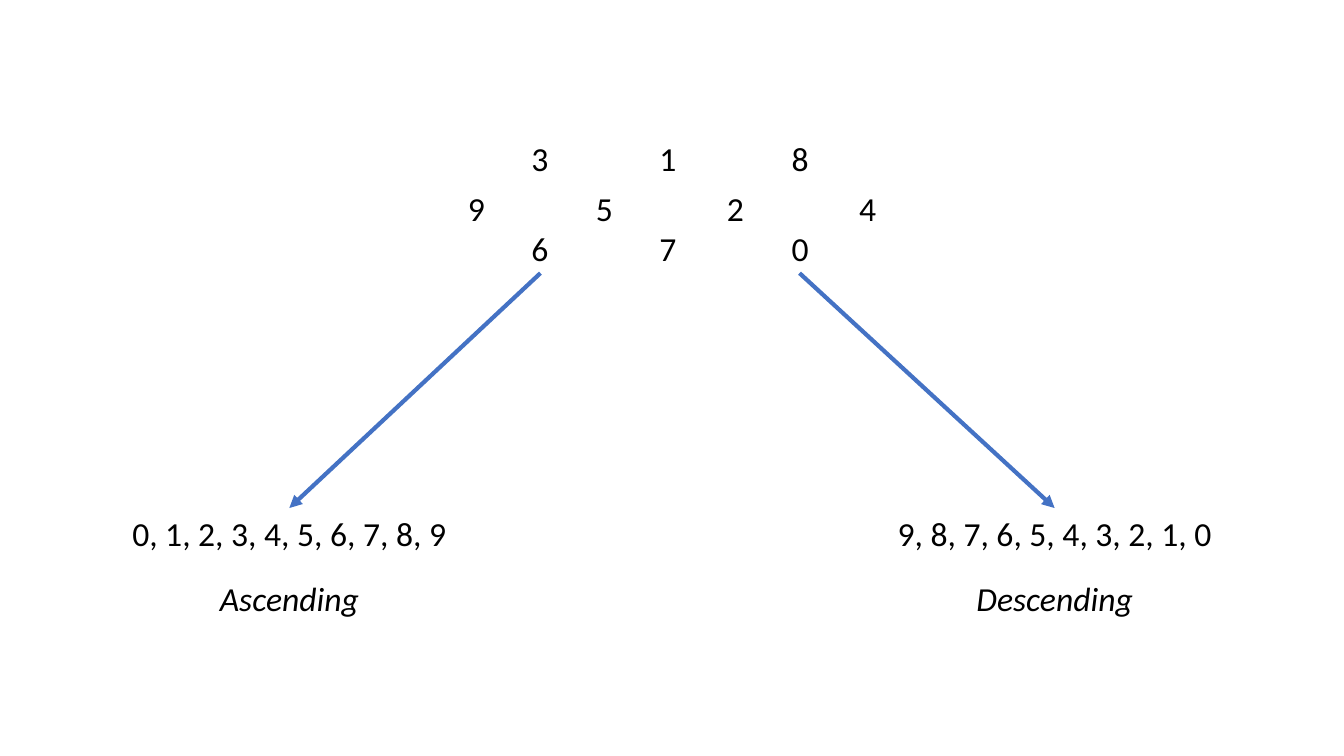
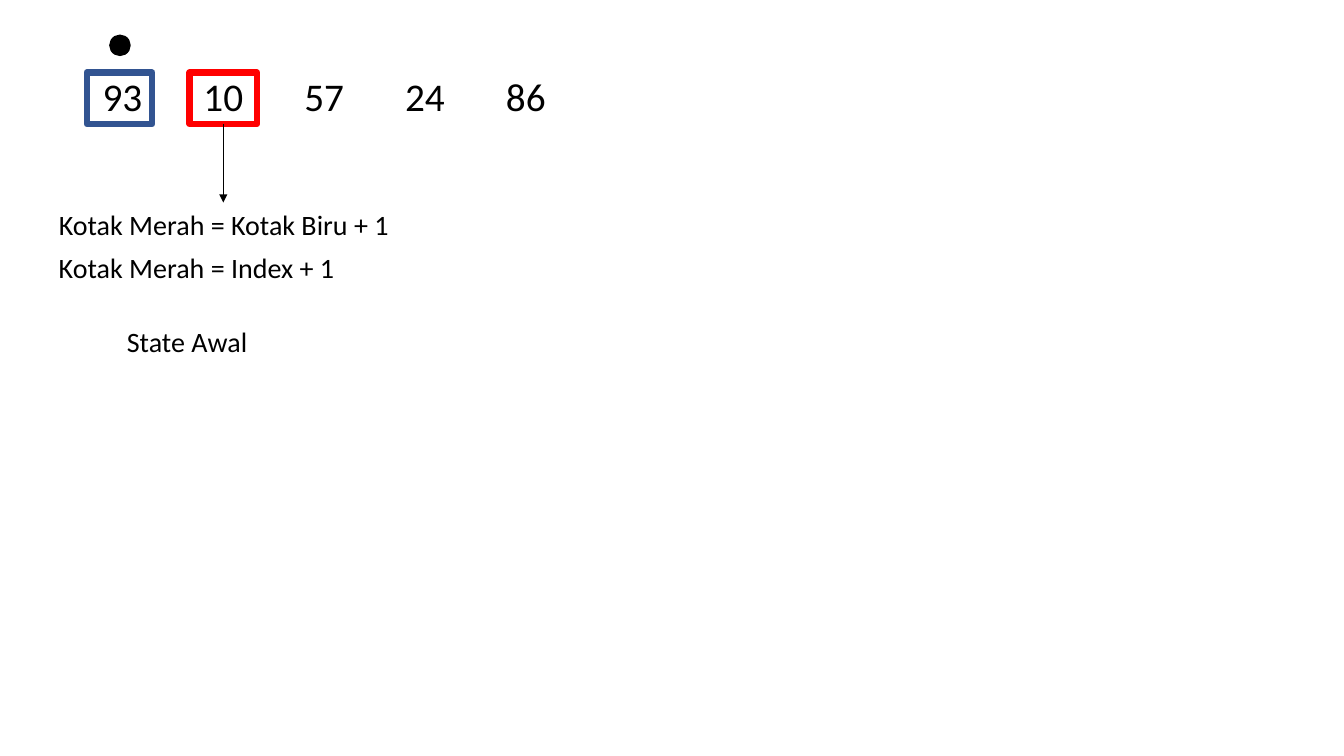
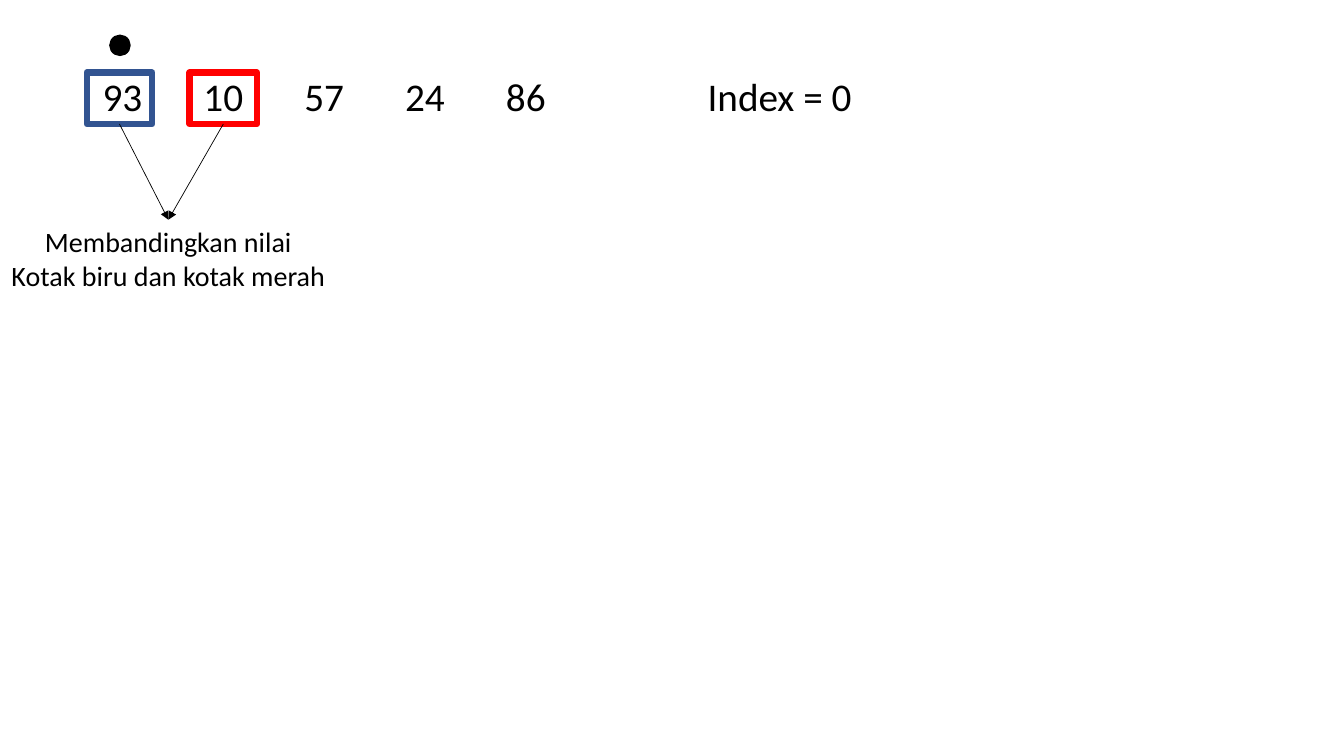
from lxml import etree
from pptx import Presentation
from pptx import util as u
from pptx.dml.color import RGBColor
from pptx.enum import shapes, text
from pptx.oxml.ns import qn

# Shared style
BLACK = RGBColor(0x00, 0x00, 0x00)
BLUE = RGBColor(0x44, 0x72, 0xC4)
NAVY = RGBColor(0x32, 0x54, 0x91)
RED = RGBColor(0xFF, 0x00, 0x00)
FONT = "Calibri"

# Page grid: square cells, one inch each
CELL = u.Inches(1)
WIDE, HIGH = 13.33, 7.5


def cells(*spans):
    return [round(span * CELL) for span in spans]


def style(frame, size, italic=False, align=text.PP_ALIGN.CENTER):
    for para in frame.paragraphs:
        para.alignment = align
        for run in para.runs:
            run.font.name = FONT
            run.font.size = u.Pt(size)
            run.font.italic = italic
            run.font.color.rgb = BLACK


def label(slide, words, box, size, italic=False):
    frame = slide.shapes.add_textbox(*cells(*box)).text_frame
    frame.word_wrap = False
    frame.auto_size = text.MSO_AUTO_SIZE.SHAPE_TO_FIT_TEXT
    frame.text = words
    style(frame, size, italic)


def arrow(slide, start, end, color, width):
    link = slide.shapes.add_connector(
        shapes.MSO_CONNECTOR.STRAIGHT, *cells(*start, *end))
    link.line.color.rgb = color
    link.line.width = u.Pt(width)
    etree.SubElement(link.line._get_or_add_ln(), qn("a:tailEnd"), type="triangle")
    etree.SubElement(link._element.spPr, qn("a:effectLst"))


def outline(slide, kind, box, color, width, fill=None):
    shape = slide.shapes.add_shape(kind, *cells(*box))
    shape.shadow.inherit = False
    shape.line.color.rgb = color
    shape.line.width = u.Pt(width)
    if fill is None:
        shape.fill.background()
    else:
        shape.fill.solid()
        shape.fill.fore_color.rgb = fill


# Unsorted digits, placed by column within three rows
def digits(slide, left, top):
    cols = (0, 0.63, 1.27, 1.9, 2.57, 3.21, 3.88)
    rows = ((0, "3 1 8", cols[1::2]),
            (0.5, "9 5 2 4", cols[::2]),
            (0.89, "6 7 0", cols[1::2]))
    for row, line, spots in rows:
        for digit, col in zip(line.split(), spots):
            label(slide, digit, (left + col, top + row, 0.37, 0.5), 24)


# One sorted order with its name and incoming arrow
def order(slide, left, top, start, items, name):
    width = 3.34
    arrow(slide, start, (left + width / 2, top), BLUE, 3)
    label(slide, ", ".join(map(str, items)), (left, top, width, 0.5), 24)
    label(slide, name, (left, top + 0.64, width, 0.5), 24, True)


# Row of values with marker and two frames; returns the feet of the frames
def values(slide, left, top, items):
    box = slide.shapes.add_textbox(*cells(left, top, 11.5, 6.03))
    frame = box.text_frame
    frame.word_wrap = True
    frame.text = "\t".join(items)
    style(frame, 28, align=text.PP_ALIGN.LEFT)
    para = frame.paragraphs[0]
    para.line_spacing = 0.9
    para.space_before = u.Pt(10)
    tabs = etree.SubElement(para._p.get_or_add_pPr(), qn("a:tabLst"))
    for stop in range(1, len(items)):
        etree.SubElement(tabs, qn("a:tab"), pos=str(stop * CELL), algn="l")

    kind = shapes.MSO_SHAPE
    outline(slide, kind.OVAL, (left + 0.17, top - 0.37, 0.2, 0.2), BLACK, 1, BLACK)
    feet = []
    for shift, width, color in ((-0.06, 0.65, NAVY), (0.96, 0.67, RED)):
        outline(slide, kind.RECTANGLE, (left + shift, top, width, 0.51), color, 4.5)
        feet.append((left + shift + width / 2, top + 0.51))
    return feet


def sorting(slide):
    digits(slide, 4.54, 1.32)
    order(slide, 1.2, 5.04, (5.36, 2.71), range(10), "Ascending")
    order(slide, 8.79, 5.04, (7.93, 2.71), range(9, -1, -1), "Descending")


NUMS = ["93", "10", "57", "24", "86"]


def initial(slide):
    _, foot = values(slide, 0.92, 0.72, NUMS)
    arrow(slide, foot, (foot[0], 2.01), BLACK, 0.5)
    for words, box in (
            ("Kotak Merah = Kotak Biru + 1", (0.47, 2.01, 3.5, 0.44)),
            ("Kotak Merah = Index + 1", (0.47, 2.44, 2.96, 0.44)),
            ("State Awal", (1.15, 3.17, 1.41, 0.44))):
        label(slide, words, box, 20)


def compare(slide):
    feet = values(slide, 0.92, 0.72, NUMS + ["", "Index = 0"])
    width, top = 3.34, 2.18
    for foot in feet:
        arrow(slide, foot, (width / 2, top), BLACK, 0.5)
    label(slide, "Membandingkan nilai\nKotak biru dan kotak merah",
          (0, top, width, 0.77), 20)


def main():
    deck = Presentation()
    deck.slide_width, deck.slide_height = cells(WIDE, HIGH)
    for build in (sorting, initial, compare):
        build(deck.slides.add_slide(deck.slide_layouts[6]))
    deck.save("out.pptx")


if __name__ == "__main__":
    main()
